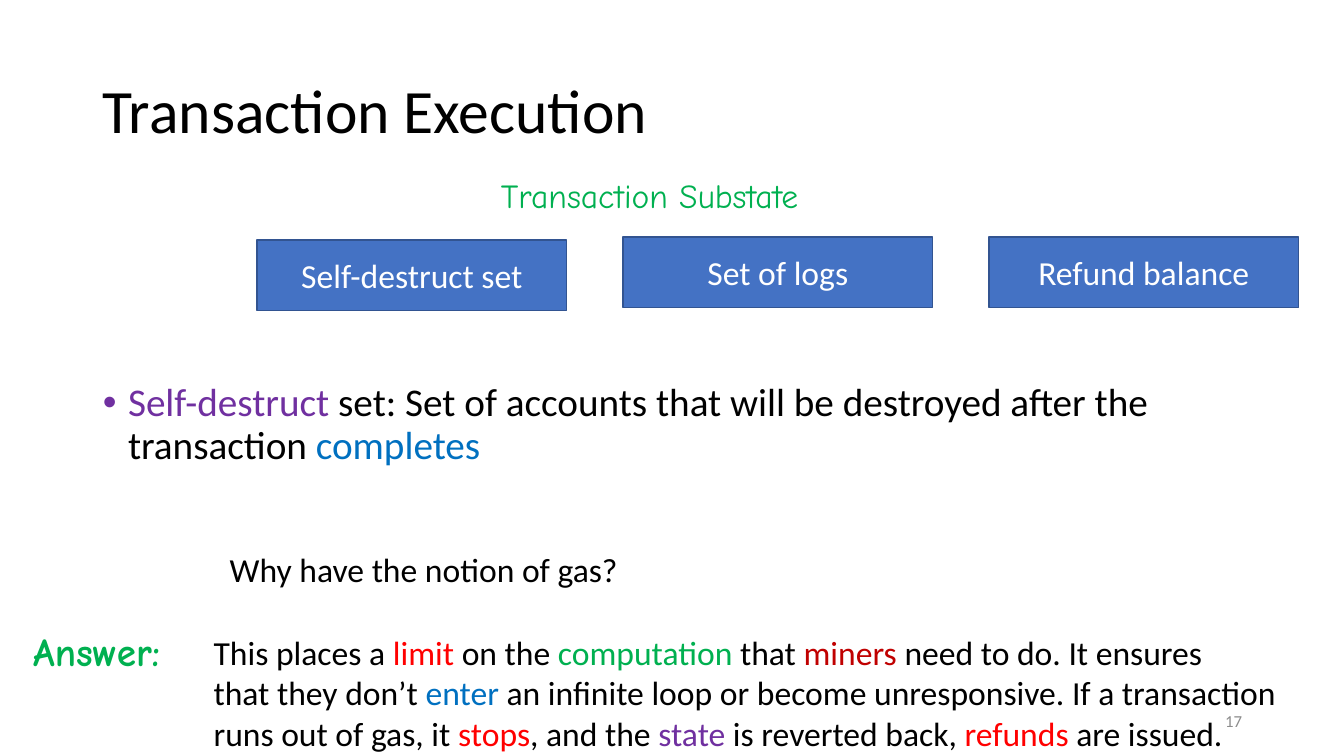
"""Builds the slide on transaction execution, the substate and gas."""
import dataclasses

import lxml.etree
import pptx
import pptx.dml.color
import pptx.enum.shapes
import pptx.enum.text
import pptx.oxml.ns
import pptx.util

ALIGN = pptx.enum.text.PP_ALIGN
ANCHOR = pptx.enum.text.MSO_ANCHOR
FIT = pptx.enum.text.MSO_AUTO_SIZE


@dataclasses.dataclass(frozen=True)
class Theme:
    """Slide size in inches, colours, fonts and type sizes in points."""
    width: float = 13.33
    height: float = 7.5
    ink: str = "000000"
    white: str = "FFFFFF"
    grey: str = "8C8C8C"
    box: str = "4472C4"
    edge: str = "325491"
    purple: str = "7030A0"
    blue: str = "0070C0"
    green: str = "00B050"
    red: str = "FF0000"
    crimson: str = "C00000"
    sans: str = "Calibri"
    comic: str = "Comic Neue"
    heading: int = 44
    point: int = 28
    label: int = 24
    small: int = 12


THEME = Theme()


def rgb(code):
    """Return the colour for a hex code."""
    return pptx.dml.color.RGBColor.from_string(code)


def area(left, top, width, height):
    """Turn percentages of the slide into left, top, width and height."""
    across, down = THEME.width / 100, THEME.height / 100
    return [pptx.util.Inches(length) for length in
            (left * across, top * down, width * across, height * down)]


def add_bullet(paragraph, indent):
    """Give a paragraph a round bullet with a hanging indent in inches."""
    properties = paragraph._p.get_or_add_pPr()
    hang = pptx.util.Inches(indent)
    properties.set("marL", str(hang))
    properties.set("indent", str(-hang))
    bullet = lxml.etree.SubElement(properties, pptx.oxml.ns.qn("a:buChar"))
    bullet.set("char", "•")


def write(frame, *paragraphs, size=THEME.label, font=THEME.sans, color=THEME.ink,
          bold=False, align=ALIGN.LEFT, anchor=ANCHOR.TOP, spacing=1.0,
          wrap=True, fit=FIT.NONE, bullet=False):
    """Fill a frame with paragraphs, each a list of (words, colour) or plain words."""
    frame.word_wrap, frame.auto_size, frame.vertical_anchor = wrap, fit, anchor
    for index, pieces in enumerate(paragraphs):
        paragraph = frame.add_paragraph() if index else frame.paragraphs[0]
        paragraph.alignment, paragraph.line_spacing = align, spacing
        paragraph.space_before = pptx.util.Pt(0)
        if bullet:
            add_bullet(paragraph, 0.25)
        for piece in [pieces] if isinstance(pieces, str) else pieces:
            words, tint = (piece, color) if isinstance(piece, str) else piece
            for number, line in enumerate(words.split("\n")):
                if number:
                    paragraph.add_line_break()
                run = paragraph.add_run()
                run.text = line
                run.font.size, run.font.name = pptx.util.Pt(size), font
                run.font.bold, run.font.color.rgb = bold, rgb(tint)


def fill_placeholder(placeholder, place, *paragraphs, **style):
    """Move a placeholder and write its text."""
    placeholder.left, placeholder.top, placeholder.width, placeholder.height = place
    write(placeholder.text_frame, *paragraphs, spacing=0.9, **style)


def add_note(slide, place, *paragraphs, **style):
    """Add a text box."""
    write(slide.shapes.add_textbox(*place).text_frame, *paragraphs, **style)


def add_part(slide, place, name):
    """Add a filled box for one part of the substate."""
    part = slide.shapes.add_shape(pptx.enum.shapes.MSO_SHAPE.RECTANGLE, *place)
    part.shadow.inherit = False
    part.fill.solid()
    part.fill.fore_color.rgb = rgb(THEME.box)
    part.line.color.rgb = rgb(THEME.edge)
    part.line.width = pptx.util.Pt(1)
    write(part.text_frame, name, color=THEME.white, align=ALIGN.CENTER,
          anchor=ANCHOR.MIDDLE)


def main():
    """Build and save the slide."""
    deck = pptx.Presentation()
    deck.slide_width = pptx.util.Inches(THEME.width)
    deck.slide_height = pptx.util.Inches(THEME.height)
    slide = deck.slides.add_slide(deck.slide_layouts[1])
    grow = {"wrap": False, "fit": FIT.SHAPE_TO_FIT_TEXT}

    fill_placeholder(slide.shapes.title, area(6.9, 5.33, 86.27, 19.33),
                     "Transaction Execution", size=THEME.heading,
                     anchor=ANCHOR.MIDDLE)
    fill_placeholder(slide.placeholders[1], area(6.9, 50, 86.27, 14),
                     [("Self-destruct", THEME.purple),
                      " set: Set of accounts that will be destroyed after the transaction ",
                      ("completes", THEME.blue)],
                     size=THEME.point, bullet=True)
    add_note(slide, area(70.67, 92.67, 22.5, 5.33), "17", size=THEME.small,
             color=THEME.grey, align=ALIGN.RIGHT, anchor=ANCHOR.MIDDLE)

    add_note(slide, area(36.53, 22.53, 27, 6.67), "Transaction Substate",
             font=THEME.comic, color=THEME.green, **grow)
    parts = [("Self-destruct set", 31.73), ("Set of logs", 31.33),
             ("Refund balance", 31.33)]
    for column, (name, top) in enumerate(parts):
        add_part(slide, area(19.13 + 27.23 * column, top, 23.03, 9.33), name)

    add_note(slide, area(16.35, 72, 30.68, 6.67), "Why have the notion of gas?", **grow)
    add_note(slide, area(1.73, 82.27, 14.1, 7.6), "Answer:", size=THEME.point,
             font=THEME.comic, color=THEME.green, bold=True,
             fit=FIT.SHAPE_TO_FIT_TEXT)
    add_note(slide, area(15.15, 82.93, 81.32, 17.47),
             ["This places a ", ("limit", THEME.red), " on the ",
              ("computation", THEME.green), " that ", ("miners", THEME.crimson),
              " need to do. It ensures\nthat they don’t ", ("enter", THEME.blue),
              " an infinite loop or become unresponsive. If a transaction"],
             ["runs out of gas, it ", ("stops", THEME.red), ", and the ",
              ("state", THEME.purple), " is reverted back, ",
              ("refunds", THEME.red), " are issued."], **grow)
    deck.save("out.pptx")


if __name__ == "__main__":
    main()
